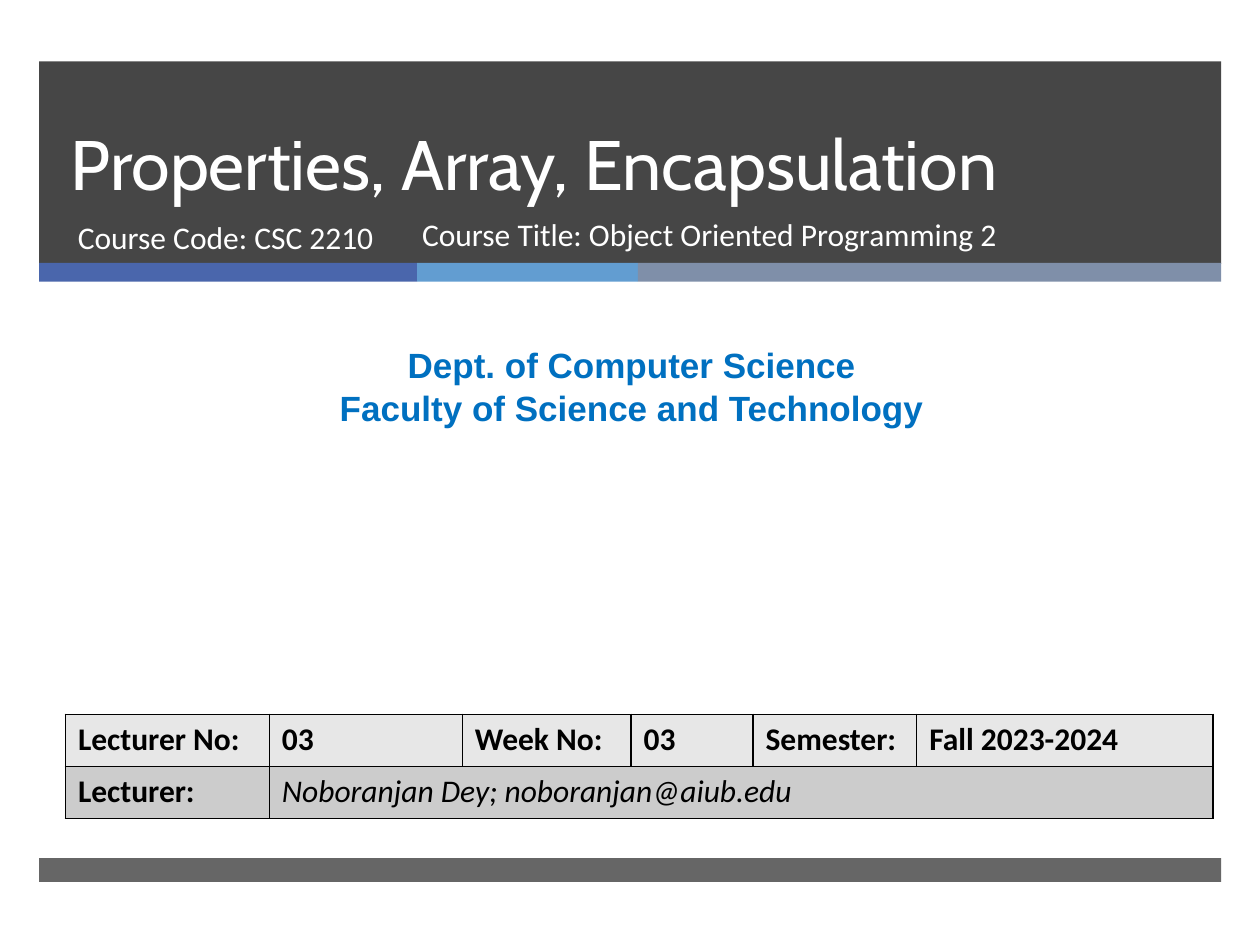
from lxml import etree
from pptx import Presentation
from pptx import util as u
from pptx.dml.color import RGBColor
from pptx.enum import shapes, text
from pptx.oxml.ns import qn

INK = "262626"
WHITE = "FFFFFF"
BAR_LEFT = 0.79
BAR_WIDTH = 23.83
STRIPES = [(7.62, "4A66AC"), (4.45, "629DD1"), (11.76, "7F8FA9")]
COLUMNS = [4.11, 3.89, 3.4, 2.46, 3.3, 5.97]
ROW_HEIGHT = 1.05
DETAILS = [
    ("E7E7E7", ["Lecturer No:", "03", "Week No:", "03", "Semester:", "Fall 2023-2024"]),
    ("CCCCCC", ["Lecturer:", "Noboranjan Dey; noboranjan@aiub.edu", "", "", "", ""]),
]
COURSE = {"name": "Calibri", "size": u.Pt(18)}


def rgb(value):
    return RGBColor.from_string(value)


def style(paragraph, color, formats):
    for key, value in formats.items():
        setattr(paragraph.font, key, value)
    paragraph.font.color.rgb = rgb(color)


def place(shape, left, top, width, height):
    box = {"left": left, "top": top, "width": width, "height": height}
    for key, value in box.items():
        setattr(shape, key, u.Cm(value))


def add_bar(slide, left, top, width, height, color, opacity=100):
    bar = slide.shapes.add_shape(
        shapes.MSO_SHAPE.RECTANGLE, u.Cm(left), u.Cm(top), u.Cm(width), u.Cm(height))
    bar.shadow.inherit = False
    bar.line.fill.background()
    bar.fill.solid()
    bar.fill.fore_color.rgb = rgb(color)
    if opacity < 100:
        tint = bar._element.spPr.find(".//" + qn("a:srgbClr"))
        etree.SubElement(tint, qn("a:alpha"), val=str(opacity * 1000))


def add_stripes(slide):
    left = BAR_LEFT
    for width, color in STRIPES:
        add_bar(slide, left, 5.3, width, 0.38, color)
        left += width


def set_title(slide, wording):
    title = slide.shapes.title
    slide.shapes._spTree.append(title._element)
    place(title, 1.17, 1.24, 21.69, 3.02)
    frame = title.text_frame
    frame.text = wording
    frame.word_wrap = True
    frame.auto_size = text.MSO_AUTO_SIZE.NONE
    frame.vertical_anchor = text.MSO_ANCHOR.BOTTOM
    heading = frame.paragraphs[0]
    heading.alignment = text.PP_ALIGN.LEFT
    heading.line_spacing = u.Pt(46)
    style(heading, WHITE, {"name": "Cabin", "size": u.Pt(40)})


def add_text(slide, left, top, width, height, lines, color, formats,
             align=text.PP_ALIGN.LEFT):
    box = slide.shapes.add_textbox(u.Cm(left), u.Cm(top), u.Cm(width), u.Cm(height))
    frame = box.text_frame
    frame.word_wrap = True
    frame.text = "\n".join(lines)
    for paragraph in frame.paragraphs:
        paragraph.alignment = align
        style(paragraph, color, formats)


def add_borders(cell, color="000000"):
    props = cell._tc.get_or_add_tcPr()
    for side in ("lnL", "lnR", "lnT", "lnB"):
        border = etree.SubElement(props, qn("a:" + side), w=str(u.Pt(1)))
        fill = etree.SubElement(border, qn("a:solidFill"))
        etree.SubElement(fill, qn("a:srgbClr"), val=color)


def add_details(slide):
    table = slide.shapes.add_table(
        len(DETAILS), len(COLUMNS), u.Cm(1.32), u.Cm(14.4),
        u.Cm(sum(COLUMNS)), u.Cm(ROW_HEIGHT * len(DETAILS))).table
    for column, width in zip(table.columns, COLUMNS):
        column.width = u.Cm(width)
    for r, (shade, entries) in enumerate(DETAILS):
        table.rows[r].height = u.Cm(ROW_HEIGHT)
        for c, entry in enumerate(entries):
            cell = table.cell(r, c)
            add_borders(cell)
            cell.fill.solid()
            cell.fill.fore_color.rgb = rgb(shade)
            cell.text = entry
            is_lecturer = r == 1 and c > 0
            style(cell.text_frame.paragraphs[0], "000000",
                  {**COURSE, "bold": not is_lecturer, "italic": is_lecturer})
    table.cell(1, 1).merge(table.cell(1, len(COLUMNS) - 1))


def main():
    deck = Presentation()
    deck.slide_width, deck.slide_height = u.Cm(25.4), u.Cm(19.05)
    slide = deck.slides.add_slide(deck.slide_layouts[5])
    add_bar(slide, BAR_LEFT, 1.24, BAR_WIDTH, 4.08, INK, 85)
    add_stripes(slide)
    add_bar(slide, BAR_LEFT, 17.3, BAR_WIDTH, 0.48, INK, 70)
    set_title(slide, "Properties, Array, Encapsulation")
    add_text(slide, 1.32, 4.27, 7.75, 1.35, ["Course Code: CSC 2210"], WHITE, COURSE)
    add_text(slide, 0.2, 6.81, 25.07, 1.96,
             ["Dept. of Computer Science", "Faculty of Science and Technology"],
             "0070C0", {"name": "Arial", "size": u.Pt(20), "bold": True},
             text.PP_ALIGN.CENTER)
    add_details(slide)
    add_text(slide, 8.26, 4.22, 12.98, 1.35,
             ["Course Title: Object Oriented Programming 2"], WHITE, COURSE)
    deck.save("out.pptx")


if __name__ == "__main__":
    main()
